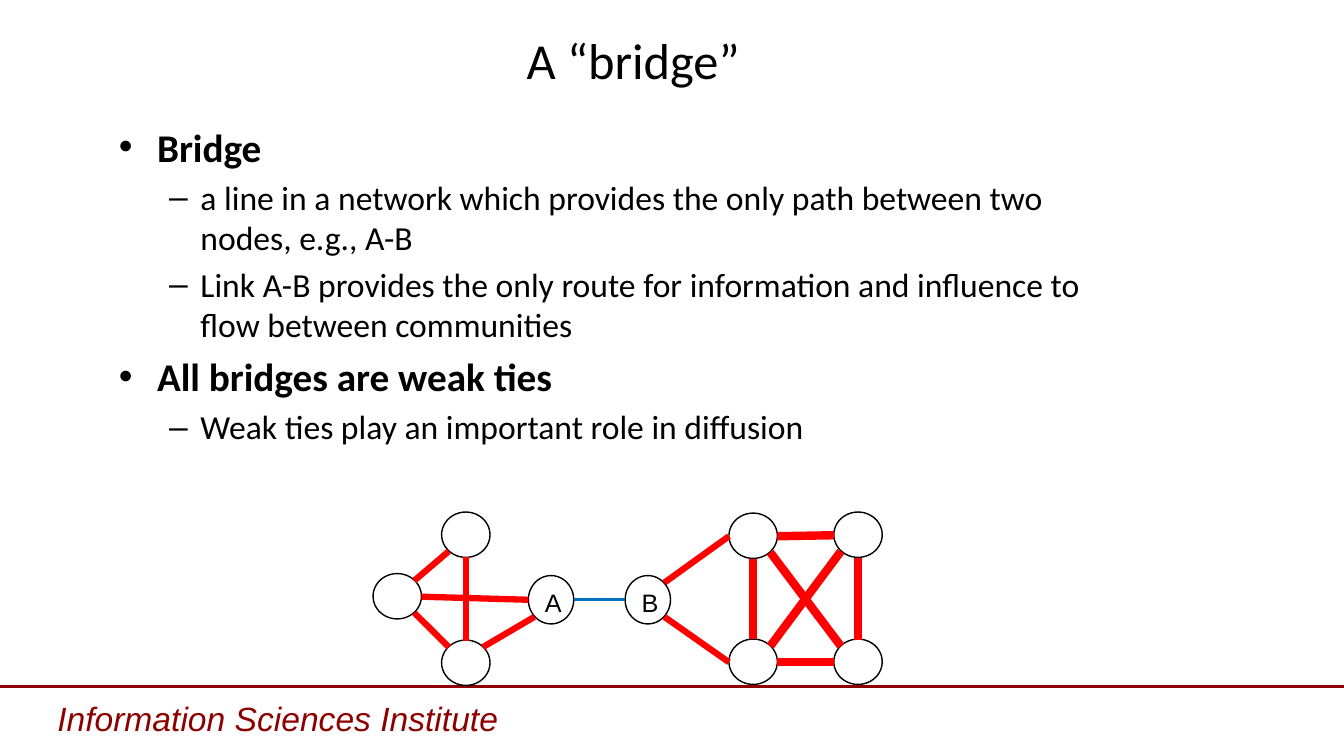
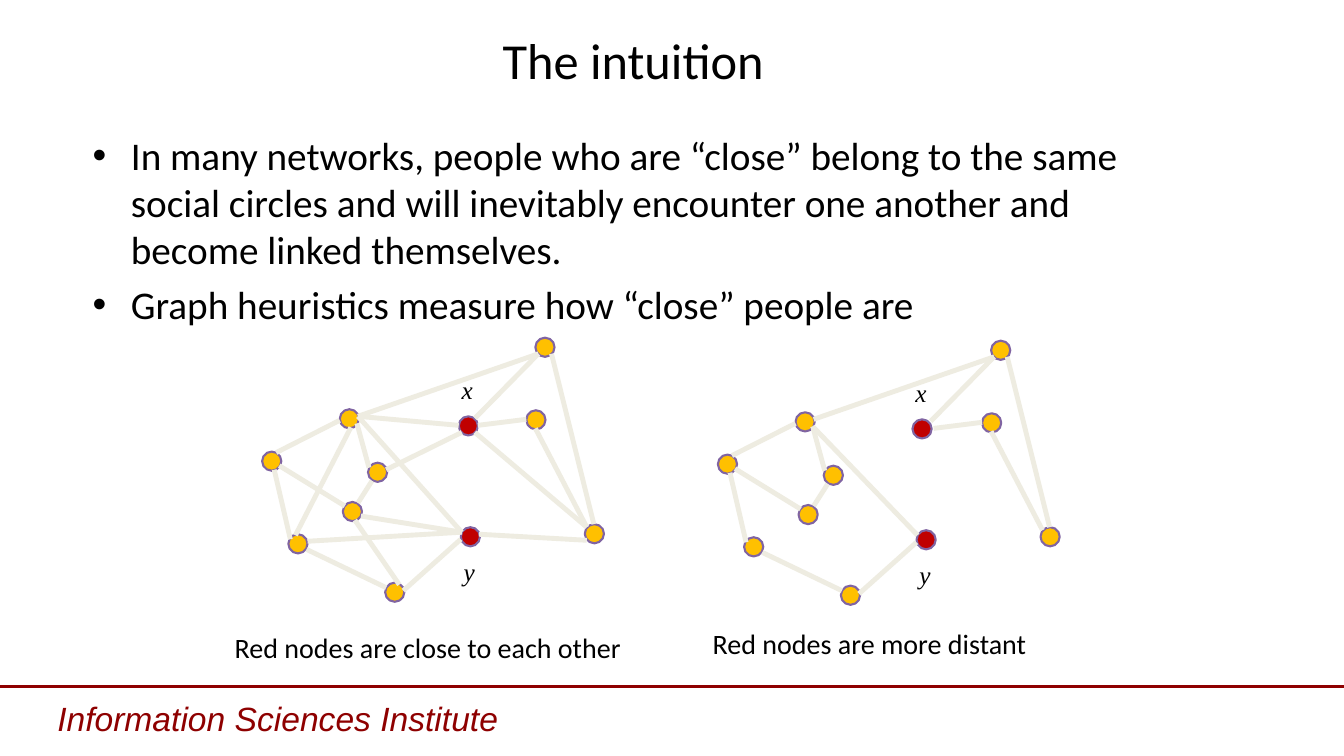
from dataclasses import dataclass
from lxml.etree import SubElement
from pptx import Presentation
from pptx.dml.color import RGBColor as Rgb
from pptx.enum.shapes import MSO_CONNECTOR as Connector, MSO_SHAPE as Shape
from pptx.enum.text import MSO_ANCHOR as Anchor, PP_ALIGN as Align
from pptx.oxml.ns import qn
from pptx.util import Inches, Pt


@dataclass(frozen=True)
class Theme:
    ink: str = "000000"
    paper: str = "FFFFFF"
    brand: str = "8E0000"
    strong_tie: str = "FF0000"
    weak_tie: str = "0070C0"
    person: str = "FFC000"
    target: str = "C00000"
    person_rim: str = "8064A2"
    link: str = "EEECE1"
    body_font: str = "Calibri"
    footer_font: str = "Arial"
    math_font: str = "Times New Roman"
    title_size: int = 36
    bullet_size: int = 28
    dash_size: int = 24
    footer_size: int = 24
    caption_size: int = 20
    label_size: int = 18


THEME = Theme()


class Deck:
    def __init__(self, theme):
        self.theme = theme
        self.presentation = Presentation()
        self.presentation.slide_width = Inches(13.33)
        self.presentation.slide_height = Inches(7.5)
        self.slide = None

    def new_slide(self, title):
        theme = self.theme
        self.slide = self.presentation.slides.add_slide(self.presentation.slide_layouts[6])
        self.line((0, 6.81), (13.33, 6.81), theme.brand, 2.25)
        self.text("Information Sciences Institute", (0.47, 6.87, 6.57, 0.51),
                  theme.footer_size, theme.footer_font, theme.brand, italic=True)
        heading = self.text(title, (0.67, 0.24, 11.22, 0.7), theme.title_size, theme.body_font)
        heading.vertical_anchor = Anchor.MIDDLE
        heading.paragraphs[0].alignment = Align.CENTER

    def style(self, paragraph, size, font, color=None, bold=False, italic=False):
        paragraph.font.size = Pt(size)
        paragraph.font.name = font
        paragraph.font.bold = bold
        paragraph.font.italic = italic
        paragraph.font.color.rgb = Rgb.from_string(color or self.theme.ink)

    def text(self, words, box, size, font, color=None, italic=False):
        frame = self.slide.shapes.add_textbox(*map(Inches, box)).text_frame
        frame.word_wrap = True
        frame.text = words
        self.style(frame.paragraphs[0], size, font, color, italic=italic)
        return frame

    def bullets(self, items, box):
        theme = self.theme
        frame = self.slide.shapes.add_textbox(*map(Inches, box)).text_frame
        frame.word_wrap = True
        for index, (level, words, bold) in enumerate(items):
            paragraph = frame.paragraphs[0] if index == 0 else frame.add_paragraph()
            paragraph.text = words
            paragraph.level = level
            mark, size, margin, hang = (("•", theme.bullet_size, 0.38, 0.38),
                                        ("–", theme.dash_size, 0.81, 0.31))[level]
            properties = paragraph._p.get_or_add_pPr()
            properties.set("marL", str(Inches(margin)))
            properties.set("indent", str(-Inches(hang)))
            mark_color = SubElement(properties, qn("a:buClr"))
            SubElement(mark_color, qn("a:srgbClr"), val=theme.ink)
            SubElement(properties, qn("a:buFont"), typeface="Arial")
            SubElement(properties, qn("a:buChar"), char=mark)
            if index:
                paragraph.space_before = Pt(size * 0.2)
            self.style(paragraph, size, theme.body_font, bold=bold)

    def node(self, box, fill, rim, rim_width, label=None):
        circle = self.slide.shapes.add_shape(Shape.OVAL, *map(Inches, box))
        circle.shadow.inherit = False
        circle.fill.solid()
        circle.fill.fore_color.rgb = Rgb.from_string(fill)
        circle.line.color.rgb = Rgb.from_string(rim)
        circle.line.width = Pt(rim_width)
        if label:
            frame = circle.text_frame
            frame.text = label
            frame.vertical_anchor = Anchor.TOP
            frame.paragraphs[0].alignment = Align.LEFT
            self.style(frame.paragraphs[0], self.theme.label_size, self.theme.footer_font)

    def line(self, start, end, color, width):
        connector = self.slide.shapes.add_connector(
            Connector.STRAIGHT, *map(Inches, (*start, *end)))
        connector.line.color.rgb = Rgb.from_string(color)
        connector.line.width = Pt(width)
        SubElement(connector._element.spPr, qn("a:effectLst"))

    def network(self, people, targets, links, labels, shift):
        theme = self.theme
        dx, dy = shift
        for places, fill in ((people, theme.person), (targets, theme.target)):
            for x, y in places:
                self.node((x + dx, y + dy, 0.19, 0.19), fill, theme.person_rim, 1.5)
        for x1, y1, x2, y2 in links:
            self.line((x1 + dx, y1 + dy), (x2 + dx, y2 + dy), theme.link, 3.5)
        for name, x, y in labels:
            self.text(name, (x + dx, y + dy, 0.31, 0.4), theme.label_size,
                      theme.math_font, italic=True)


def bridge_slide(deck):
    deck.new_slide("A “bridge”")
    deck.bullets([
        (0, "Bridge", True),
        (1, "a line in a network which provides the only path between two nodes, e.g., A-B", False),
        (1, "Link A-B provides the only route for information and influence to flow "
            "between communities", False),
        (0, "All bridges are weak ties", True),
        (1, "Weak ties play an important role in diffusion", False),
    ], (1.08, 1.17, 10.09, 3.3))

    members = [(4.62, 5.3), (4.62, 6.57), (3.94, 5.91),
               (7.47, 5.31), (7.47, 6.56), (8.51, 5.3), (8.51, 6.56)]
    for x, y in members:
        deck.node((x - 0.24, y - 0.22, 0.48, 0.45), THEME.paper, THEME.ink, 1)
    for name, left in (("A", 5.24), ("B", 6.2)):
        deck.node((left, 5.71, 0.45, 0.48), THEME.paper, THEME.ink, 1, name)

    strong_ties = [
        (4.62, 6.36, 4.62, 5.53), (4.45, 6.42, 4.11, 6.08), (4.45, 5.47, 4.11, 5.76),
        (4.79, 6.42, 5.3, 6.12), (4.18, 5.92, 5.24, 5.95),
        (6.59, 6.12, 7.23, 6.57), (6.59, 5.78, 7.23, 5.32),
    ]
    clique_ties = [
        (7.71, 5.32, 8.27, 5.31), (7.71, 6.57, 8.27, 6.57), (8.51, 5.54, 8.51, 6.35),
        (7.47, 5.55, 7.47, 6.34), (7.64, 5.48, 8.34, 6.41), (7.64, 6.41, 8.34, 5.47),
    ]
    bridge = [(5.69, 5.95, 6.2, 5.95)]
    for ties, color, width in ((strong_ties, THEME.strong_tie, 4.5),
                               (clique_ties, THEME.strong_tie, 6),
                               (bridge, THEME.weak_tie, 2.25)):
        for x1, y1, x2, y2 in ties:
            deck.line((x1, y1), (x2, y2), color, width)


def intuition_slide(deck):
    deck.new_slide("The intuition")
    deck.bullets([
        (0, "In many networks, people who are “close” belong to the same social circles "
            "and will inevitably encounter one another and become linked themselves.", False),
        (0, "Graph heuristics measure how “close” people are", False),
    ], (0.82, 1.25, 10.68, 1.95))

    people = [(5.22, 4.07), (5.8, 5.2), (5.31, 3.35), (3.37, 4.06), (3.65, 4.59),
              (3.4, 4.98), (2.86, 5.3), (2.6, 4.48), (3.82, 5.78)]
    shared_links = [
        (4.74, 4.22, 5.22, 4.16), (5.47, 3.51, 5.89, 5.2), (3.37, 4.17, 2.74, 4.49),
        (3.54, 4.2, 3.66, 4.64), (3.04, 5.45, 3.83, 5.83), (2.77, 4.62, 3.42, 5.02),
        (2.72, 4.66, 2.88, 5.35), (3.69, 4.77, 3.55, 4.99), (4.57, 5.35, 4, 5.86),
        (3.55, 4.13, 5.34, 3.51), (4.71, 4.15, 5.34, 3.51), (5.31, 4.25, 5.82, 5.23),
    ]
    close_links = [
        (4.71, 4.29, 5.82, 5.23), (3.48, 4.24, 2.93, 5.31), (3.05, 5.37, 4.58, 5.28),
        (4.58, 5.28, 3.58, 5.12), (3.55, 4.13, 4.58, 5.28), (3.96, 5.8, 3.52, 5.16),
        (3.55, 4.13, 4.55, 4.22), (3.83, 4.66, 4.58, 4.29), (4.75, 5.3, 5.82, 5.36),
    ]
    distant_links = [(3.54, 4.2, 4.58, 5.28)]
    versions = [
        (close_links, 4.55, 4.48, (0, 0),
         "Red nodes are close to each other", (2.23, 6.21, 4.2, 0.44)),
        (distant_links, 4.53, 4.46, (4.52, 0.03),
         "Red nodes are more distant", (6.97, 6.17, 4.07, 0.44)),
    ]
    for own_links, target_x, label_x, shift, caption, caption_box in versions:
        deck.network(people, [(target_x, 4.13), (4.57, 5.23)], shared_links + own_links,
                     [("x", label_x, 3.66), ("y", 4.5, 5.47)], shift)
        deck.text(caption, caption_box, THEME.caption_size, THEME.body_font)


def main():
    deck = Deck(THEME)
    bridge_slide(deck)
    intuition_slide(deck)
    deck.presentation.save("out.pptx")


if __name__ == "__main__":
    main()
